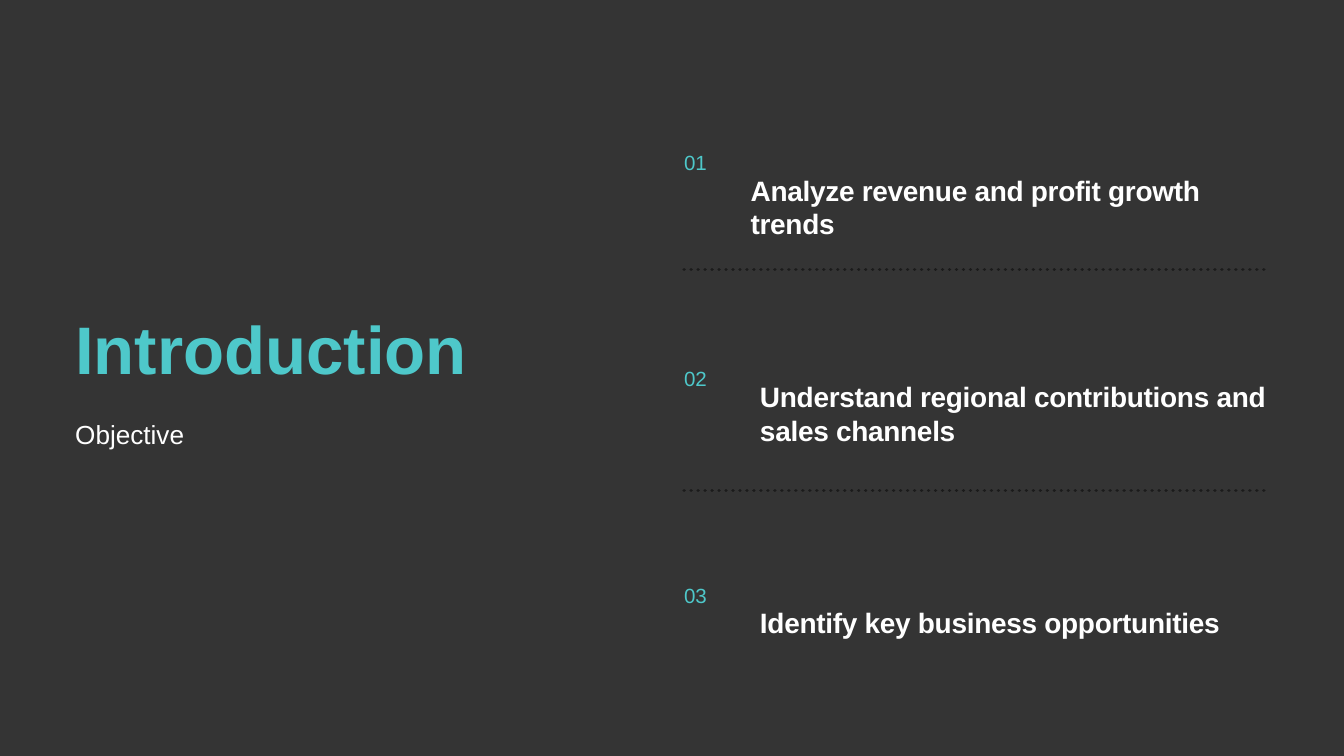
from pptx import Presentation
from pptx.dml.color import RGBColor
from pptx.enum.dml import MSO_LINE
from pptx.enum.shapes import MSO_CONNECTOR
from pptx.enum.text import MSO_AUTO_SIZE
from pptx.oxml.ns import qn
from pptx.util import Emu, Pt
from lxml.etree import SubElement

SCALE = 9144  # 100 px to the inch
TEAL, WHITE, DARK, BACK = "4EC8CA", "FFFFFF", "1B1B1B", "343434"


def px(num):
    return Emu(num * SCALE)


def color(code):
    return RGBColor.from_string(code)


class Deck:
    font = "Arial"

    def __init__(self, wide, high):
        self.prs = Presentation()
        self.prs.slide_width, self.prs.slide_height = px(wide), px(high)
        self.slide = self.prs.slides.add_slide(self.prs.slide_layouts[6])
        fill = self.slide.background.fill
        fill.solid()
        fill.fore_color.rgb = color(BACK)

    def text(self, words, box, size, lead, tint, bold=False, track=0):
        shape = self.slide.shapes.add_textbox(*map(px, box))
        frame = shape.text_frame
        form = {"margin_left": 0, "margin_top": 0, "margin_right": 0,
                "margin_bottom": 0, "word_wrap": True,
                "auto_size": MSO_AUTO_SIZE.SHAPE_TO_FIT_TEXT}
        for name, value in form.items():
            setattr(frame, name, value)
        para = frame.paragraphs[0]
        para.line_spacing = Pt(lead)
        run = para.add_run()
        run.text = words
        form = {"name": self.font, "size": Pt(size), "bold": bold}
        for name, value in form.items():
            setattr(run.font, name, value)
        run.font.color.rgb = color(tint)
        if track:
            run._r.get_or_add_rPr().set("spc", str(track))
        return shape

    def rule(self, left, right, top):
        line = self.slide.shapes.add_connector(
            MSO_CONNECTOR.STRAIGHT, px(left), px(top), px(right), px(top))
        line.line.color.rgb = color(DARK)
        form = {"width": Pt(3.75), "dash_style": MSO_LINE.ROUND_DOT}
        for name, value in form.items():
            setattr(line.line, name, value)
        line.line._get_or_add_ln().set("cap", "rnd")
        SubElement(line._element.spPr, qn("a:effectLst"))

    def group(self, *parts):
        self.slide.shapes.add_group_shape(parts)

    def save(self):
        self.prs.save("out.pptx")


def main():
    deck = Deck(2000, 1125)

    # Title and subtitle
    deck.group(
        deck.text("Introduction", (112, 458, 682, 121), 72, 86.4, TEAL, True),
        deck.text("Objective", (112, 615, 607, 51), 28, 39.2, WHITE))

    # Goals: left, top, height, words
    goals = [
        (1117, 258, 51, "Analyze revenue and profit growth trends"),
        (1131, 565, 101,
         "Understand regional contributions and sales channels"),
        (1131, 901, 51, "Identify key business opportunities"),
    ]
    for left, top, high, words in goals:
        deck.text(words, (left, top, 756, high), 30, 36, WHITE, True, -30)

    # Numbers, evenly spaced
    for row in range(len(goals)):
        deck.text(f"{row + 1:02}", (1018, 217 + 322 * row, 75, 42),
                  22, 30.8, TEAL)

    # Dotted rules between the goals
    for top in (401, 730):
        deck.rule(1018, 1888, top)

    deck.save()


if __name__ == "__main__":
    main()
